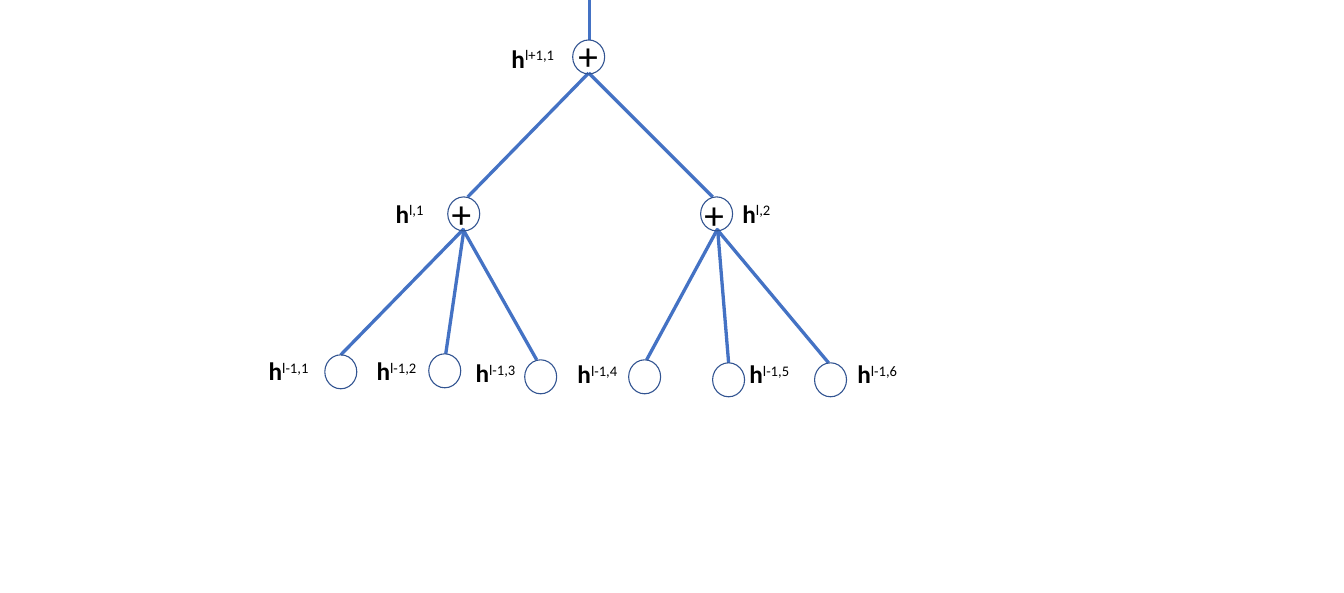
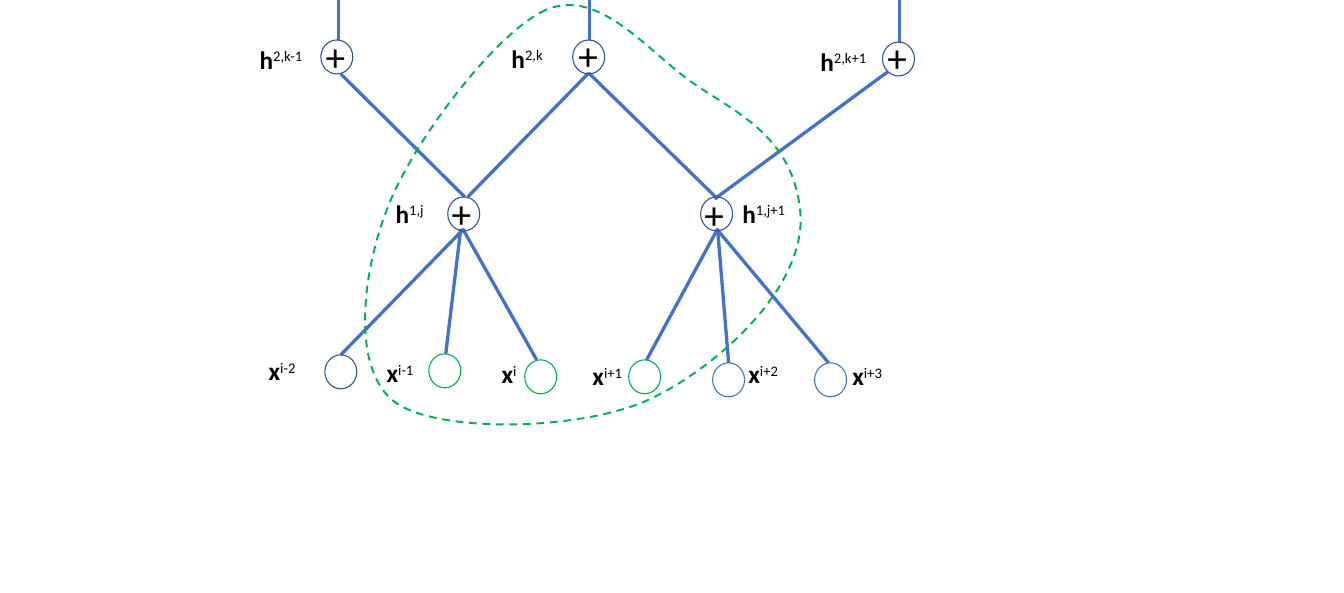
import pptx
import pptx.dml.color
import pptx.enum.dml
import pptx.enum.shapes
import pptx.enum.text
import pptx.oxml
import pptx.util

PIXEL = 914400 / 79.1
DRAWING_XMLNS = 'xmlns:a="http://schemas.openxmlformats.org/drawingml/2006/main"'
NAVY, BLUE, GREEN, BLACK = "325491", "4472C4", "00B050", "000000"
NODE_SIZE = (32, 34)
PLUS_SIZE = (34, 55)
LABEL_HEIGHT = 39

# Layout shared by both trees: circle corners, plus signs and branches
SUM_NODES = [((573, 40), (571, 27)), ((448, 197), (444, 186)), ((701, 197), (697, 187))]
SUM_LABELS = [(504, 39, 89), (388, 194, 94), (735, 194, 94)]
LEAVES = [(325, 355), (429, 354), (525, 360), (629, 360), (713, 363), (815, 363)]
BRANCHES = [
    ((590, -10), (590, 40)),
    ((589, 73), (468, 197)),
    ((464, 229), (341, 355)),
    ((463, 229), (537, 360)),
    ((718, 229), (647, 360)),
    ((718, 229), (729, 363)),
    ((717, 229), (829, 363)),
]


def emu(pixels):
    """Turn pixels into EMU."""
    return pptx.util.Emu(round(pixels * PIXEL))


def color(value):
    """Turn a hex string into a colour."""
    return pptx.dml.color.RGBColor.from_string(value)


class TreeDeck:
    """Draws tree diagrams, one grouped drawing per slide."""

    def __init__(self):
        """Start an empty deck."""
        self.deck = pptx.Presentation()
        self.deck.slide_width = pptx.util.Inches(17)
        self.deck.slide_height = pptx.util.Inches(7.5)
        self.drawing = None

    def new_page(self):
        """Add a blank slide and open its drawing."""
        page = self.deck.slides.add_slide(self.deck.slide_layouts[6])
        self.drawing = page.shapes.add_group_shape().shapes

    def outline(self, shape, stroke, width):
        """Leave a shape unfilled with a plain outline."""
        shape.shadow.inherit = False
        shape.fill.background()
        shape.line.color.rgb = color(stroke)
        shape.line.width = pptx.util.Pt(width)

    def node(self, corner, stroke=NAVY):
        """Draw a circle."""
        circle = self.drawing.add_shape(pptx.enum.shapes.MSO_SHAPE.OVAL,
                                        *map(emu, corner + NODE_SIZE))
        self.outline(circle, stroke, 1)

    def branch(self, start, end):
        """Draw a thick line between two points."""
        line = self.drawing.add_connector(pptx.enum.shapes.MSO_CONNECTOR.STRAIGHT,
                                          *map(emu, start + end))
        line.line.color.rgb = color(BLUE)
        line.line.width = pptx.util.Pt(3)
        line._element.spPr.append(pptx.oxml.parse_xml(f"<a:effectLst {DRAWING_XMLNS}/>"))

    def text(self, place, size, spans):
        """Write runs given as (text, bold, raised)."""
        box = self.drawing.add_textbox(*map(emu, place))
        box.text_frame.word_wrap = True
        box.text_frame.auto_size = pptx.enum.text.MSO_AUTO_SIZE.SHAPE_TO_FIT_TEXT
        para = box.text_frame.paragraphs[0]
        for words, bold, raised in spans:
            span = para.add_run()
            span.text = words
            span.font.name = "Calibri"
            span.font.size = pptx.util.Pt(size)
            span.font.bold = bold
            span.font.color.rgb = color(BLACK)
            if raised:
                span._r.get_or_add_rPr().set("baseline", "30000")

    def label(self, place, letter, index):
        """Write a bold letter with a raised index."""
        left, top, width = place
        self.text((left, top, width, LABEL_HEIGHT), 23,
                  [(letter, True, False), (index, False, True)])

    def sum_node(self, corner, plus):
        """Draw a circle holding a plus sign."""
        self.node(corner)
        self.text(plus + PLUS_SIZE, 35.7, [("+", False, False)])

    def region(self, bounds, start, curves):
        """Draw a closed dashed outline of cubic curves within bounds."""
        left, top, right, bottom = map(emu, bounds)
        builder = self.drawing.build_freeform(left, top)
        builder.add_line_segments([(right, top), (right, bottom), (left, bottom)])
        shape = builder.convert_to_shape()
        trace = shape._element.xpath(".//a:path")[0]
        for step in list(trace):
            trace.remove(step)
        for tag, points in [("moveTo", [start])] + [("cubicBezTo", c) for c in curves]:
            marks = "".join(f'<a:pt x="{emu(x) - left}" y="{emu(y) - top}"/>'
                            for x, y in points)
            trace.append(pptx.oxml.parse_xml(
                f"<a:{tag} {DRAWING_XMLNS}>{marks}</a:{tag}>"))
        trace.append(pptx.oxml.parse_xml(f"<a:close {DRAWING_XMLNS}/>"))
        self.outline(shape, GREEN, 1.75)
        shape.line.dash_style = pptx.enum.dml.MSO_LINE.DASH

    def tree(self, branches, sum_indexes, leaf_letter, leaf_labels, leaf_strokes):
        """Draw the two-level tree with its labels."""
        self.new_page()
        for start, end in BRANCHES + branches:
            self.branch(start, end)
        for (corner, plus), place, index in zip(SUM_NODES, SUM_LABELS, sum_indexes):
            self.sum_node(corner, plus)
            self.label(place, "h", index)
        for corner, stroke, (place, index) in zip(LEAVES, leaf_strokes, leaf_labels):
            self.node(corner, stroke)
            self.label(place, leaf_letter, index)


trees = TreeDeck()

# Slide 1: hidden units across three layers
hidden_places = [(261, 352, 94), (369, 352, 94), (468, 354, 94),
                 (570, 355, 94), (742, 355, 94), (850, 355, 94)]
trees.tree(
    [((589, 73), (713, 197)), ((464, 231), (446, 354))],
    ["l+1,1", "l,1", "l,2"],
    "h",
    [(place, f"l-1,{number}") for number, place in enumerate(hidden_places, 1)],
    [NAVY] * 6,
)

# Slide 2: inputs, neighbouring units and the receptive field
trees.tree(
    [((589, 73), (718, 199)), ((461, 229), (446, 354)),
     ((341, 74), (465, 197)), ((339, -10), (339, 40)),
     ((888, 72), (715, 199)), ((900, -7), (900, 43))],
    ["2,k", "1,j", "1,j+1"],
    "x",
    [((261, 352, 94), "i-2"), ((379, 354, 62), "i-1"), ((494, 355, 64), "i"),
     ((585, 357, 62), "i+1"), ((741, 355, 72), "i+2"), ((845, 357, 72), "i+3")],
    [NAVY, GREEN, GREEN, GREEN, BLUE, BLUE],
)
for corner, plus, place, index in [
    ((321, 40), (318, 28), (252, 40, 89), "2,k-1"),
    ((883, 42), (880, 29), (813, 42, 89), "2,k+1"),
]:
    trees.sum_node(corner, plus)
    trees.label(place, "h", index)
trees.region((365, 5, 802, 425), (546, 10), [
    ((496, 32), (411, 144), (387, 210)),
    ((362, 274), (351, 371), (396, 403)),
    ((441, 434), (586, 431), (653, 398)),
    ((721, 365), (812, 282), (800, 206)),
    ((790, 130), (727, 109), (685, 77)),
    ((642, 44), (596, -12), (546, 10)),
])

trees.deck.save("out.pptx")
